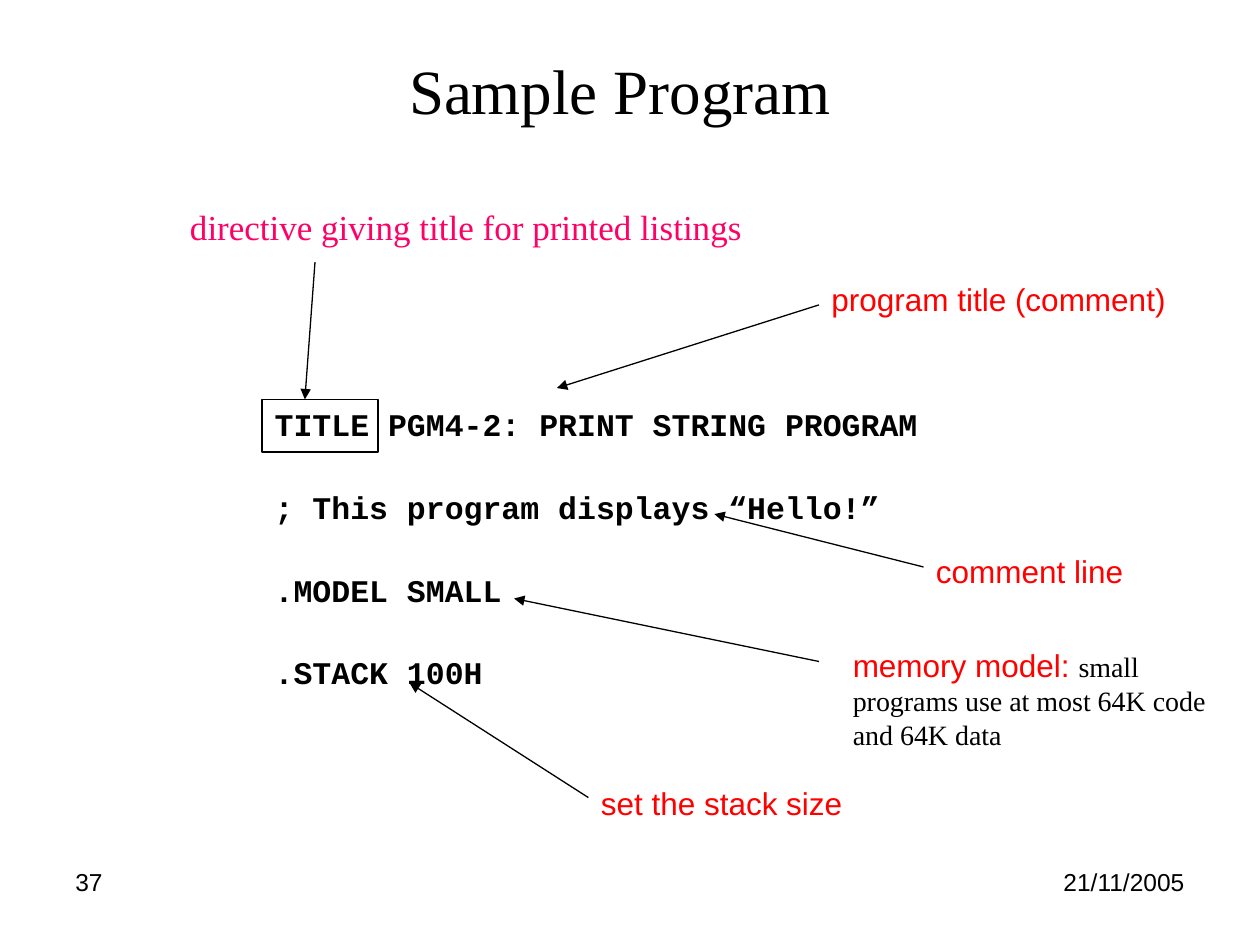
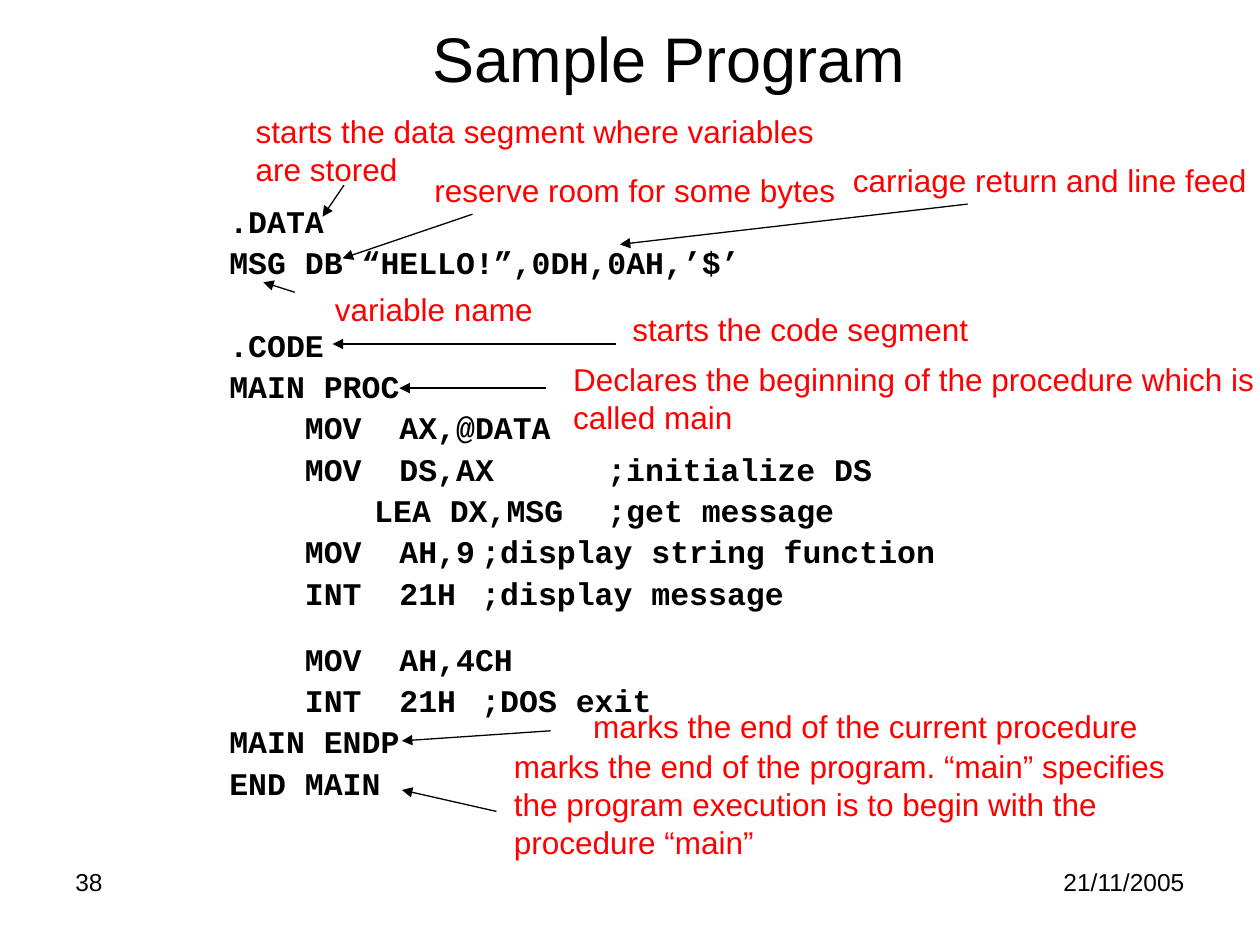
import pptx
import pptx.util
import pptx.dml.color
import pptx.enum.shapes
import pptx.enum.text
import pptx.oxml
import pptx.oxml.ns
import lxml.etree

COLOURS = {"ink": "000000", "note": "FF0000", "directive": "FF0066"}
SANS, SERIF, MONO = "Arial", "Times New Roman", "Courier New"
COLUMNS, ROWS = 100, 75
LINE_GAP, BLANK_LINE, HALF_LINE = 2, 25.7, 16.2  # points above a code line
ALIGN = pptx.enum.text.PP_ALIGN
ANCHOR = pptx.enum.text.MSO_ANCHOR

deck = pptx.Presentation()
deck.slide_width = pptx.util.Inches(10)
deck.slide_height = pptx.util.Inches(7.5)


def across(columns):
    """Turn grid columns into a length."""
    return round(deck.slide_width * columns / COLUMNS)


def down(rows):
    """Turn grid rows into a length."""
    return round(deck.slide_height * rows / ROWS)


def within(box, part):
    """Shift a part by the corner of its box."""
    return (box[0] + part[0], box[1] + part[1], *part[2:])


def lengths(box):
    """Turn a grid box into left, top, width and height."""
    left, top, width, height = box
    return across(left), down(top), across(width), down(height)


def colour(name):
    """Look up a named colour."""
    return pptx.dml.color.RGBColor.from_string(COLOURS[name])


def style(font, size, face, ink="ink", bold=False):
    """Set the look of a paragraph or span."""
    font.size = pptx.util.Pt(size)
    font.name = face
    font.bold = bold
    font.color.rgb = colour(ink)


def text_frame(page, box, anchor=ANCHOR.TOP):
    """Add a wrapping text box and return its frame."""
    frame = page.shapes.add_textbox(*lengths(box)).text_frame
    frame.word_wrap = True
    frame.vertical_anchor = anchor
    return frame


def text(page, box, words, size=18, face=SANS, ink="note", align=ALIGN.LEFT,
         gap=1, anchor=ANCHOR.TOP):
    """Add one paragraph in a box."""
    para = text_frame(page, box, anchor).paragraphs[0]
    para.text = words
    para.alignment = align
    para.space_before = pptx.util.Pt(gap)
    style(para.font, size, face, ink)


def title(page, box, face, anchor):
    """Add the slide title."""
    text(page, box, "Sample Program", 36, face, "ink", ALIGN.CENTER, 4, anchor)


def footer(page, box, number):
    """Put the page number at the left and the date at the right of a band."""
    left, top, width, height = box
    part = 23.3
    text(page, (left, top, part, height), str(number), 14, ink="ink")
    text(page, (left + width - part, top, part, height), "21/11/2005", 14,
         ink="ink", align=ALIGN.RIGHT)


def code(page, box, lines):
    """Write code lines, each with the gap above it, on one-inch tab stops."""
    frame = text_frame(page, box)
    frame.margin_left = across(6)
    for index, (gap, words) in enumerate(lines):
        para = frame.paragraphs[0] if index == 0 else frame.add_paragraph()
        para.text = words.replace(" ", "\u00a0")
        stops = lxml.etree.SubElement(para._p.get_or_add_pPr(),
                                      pptx.oxml.ns.qn("a:tabLst"))
        for stop in range(1, 8):
            tab = lxml.etree.SubElement(stops, pptx.oxml.ns.qn("a:tab"))
            tab.set("pos", str(across(10 * stop)))
            tab.set("algn", "l")
        para.space_before = pptx.util.Pt(gap)
        style(para.font, 18, MONO, bold=True)


def arrow(page, box, ends):
    """Draw a thin arrow between two points of a box."""
    x1, y1, x2, y2 = ends
    line = page.shapes.add_connector(
        pptx.enum.shapes.MSO_CONNECTOR.STRAIGHT,
        across(box[0] + x1), down(box[1] + y1),
        across(box[0] + x2), down(box[1] + y2))
    line.line.width = pptx.util.Pt(0.74)
    line.line.color.rgb = colour("ink")
    head = lxml.etree.SubElement(line.line._get_or_add_ln(),
                                 pptx.oxml.ns.qn("a:tailEnd"))
    head.set("type", "triangle")
    lxml.etree.SubElement(line._element.spPr, pptx.oxml.ns.qn("a:effectLst"))


def annotations(page, box, notes, arrows):
    """Add red notes and the arrows that tie them to the code."""
    for part, words in notes:
        text(page, within(box, part), words)
    for ends in arrows:
        arrow(page, box, ends)


def keyword_frame(page, box):
    """Outline a keyword of the code."""
    frame = page.shapes.add_shape(pptx.enum.shapes.MSO_SHAPE.RECTANGLE,
                                  *lengths(box))
    frame.shadow.inherit = False
    frame.fill.background()
    frame.line.width = pptx.util.Pt(1)
    frame.line.color.rgb = colour("ink")


def memory_note(page, box):
    """Explain the memory model in two type styles."""
    para = text_frame(page, box).paragraphs[0]
    para.space_before = pptx.util.Pt(1)
    for words, look in (
            ("memory model: ", (18, SANS, "note")),
            ("small programs use at most 64K code and 64K data", (16, SERIF))):
        span = para.add_run()
        span.text = words
        style(span.font, *look)


def new_page(box, number):
    """Add a blank page with its footer."""
    page = deck.slides.add_slide(deck.slide_layouts[6])
    footer(page, within(box, (5, 68.3, 90, 5.2)), number)
    return page


def header_page(box):
    """Show the opening directives of the program."""
    page = new_page(box, 37)
    code(page, within(box, (15.8, 31.65, 80.8, 23.65)),
         [(BLANK_LINE, words) for words in (
             "TITLE PGM4-2: PRINT STRING PROGRAM",
             "; This program displays “Hello!”",
             ".MODEL SMALL",
             ".STACK 100H")])
    annotations(page, box, [
        ((65, 21.7, 33.3, 4), "program title (comment) "),
        ((73.3, 43.3, 22.5, 4), "comment line"),
        ((46.7, 61.7, 22.5, 4), "set the stack size"),
    ], [
        (65, 24.2, 44.2, 30.8),
        (73.3, 45, 56.7, 40.8),
        (65, 52.5, 40.8, 47.5),
        (46.7, 63.3, 32.5, 54.2),
        (25, 20.8, 24.2, 31.7),
    ])
    memory_note(page, within(box, (66.7, 50.8, 33.3, 13.4)))
    title(page, within(box, (6.7, 3.6, 85, 9.7)), SERIF, ANCHOR.TOP)
    keyword_frame(page, within(box, (20.8, 31.7, 9.2, 4.2)))
    text(page, within(box, (14.1, 15.8, 47, 4.4)),
         "directive giving title for printed listings", 20, SERIF, "directive")


def body_page(box):
    """Show the data and code segments of the program."""
    page = new_page(box, 38)
    title(page, within(box, (10.6, 0, 85, 9.1)), SANS, ANCHOR.MIDDLE)
    code(page, within(box, (12.2, 15.5, 80.8, 48.6)), [
        (LINE_GAP, ".DATA"),
        (LINE_GAP, "MSG DB “HELLO!”,0DH,0AH,’$’"),
        (BLANK_LINE, ".CODE"),
        (LINE_GAP, "MAIN PROC"),
        (LINE_GAP, "    MOV  AX,@DATA"),
        (LINE_GAP, "    MOV  DS,AX\t;initialize DS"),
        (LINE_GAP, "\t LEA DX,MSG\t;get message"),
        (LINE_GAP, "    MOV  AH,9\t;display string function"),
        (LINE_GAP, "    INT  21H\t;display message"),
        (HALF_LINE, "    MOV  AH,4CH"),
        (LINE_GAP, "    INT  21H\t;DOS exit"),
        (LINE_GAP, "MAIN ENDP"),
        (LINE_GAP, "END MAIN"),
    ])
    annotations(page, box, [
        ((19.3, 8.4, 47.5, 7),
         "starts the data segment where variables are stored"),
        ((49.2, 24.1, 35, 4), "starts the code segment"),
        ((33.5, 13.1, 35, 4), "reserve room for some bytes"),
        ((25.6, 22.5, 22.5, 4), "variable name"),
        ((66.7, 12.3, 33.3, 4), "carriage return and line feed"),
        ((44.5, 28.1, 57.5, 7),
         "Declares the beginning of the procedure which is called main"),
        ((46.1, 55.6, 50, 4), "marks the end of the current procedure"),
        ((39.8, 58.8, 55, 10),
         "marks the end of the program. “main” specifies the program "
         "execution is to begin with the procedure “main”"),
    ], [
        (27.3, 14.7, 25.6, 17.2),
        (48.9, 27.3, 26.4, 27.3),
        (37.5, 17, 27.2, 20.5),
        (23.4, 23.2, 20.9, 22.4),
        (43.3, 30.8, 31.7, 30.8),
        (43.7, 58, 31.9, 58.8),
        (39.4, 64.4, 31.9, 62.7),
        (76.8, 16.2, 49.2, 19.4),
    ])


whole_page = (0, 0, COLUMNS, ROWS)
header_page(whole_page)
body_page(whole_page)
deck.save("out.pptx")
